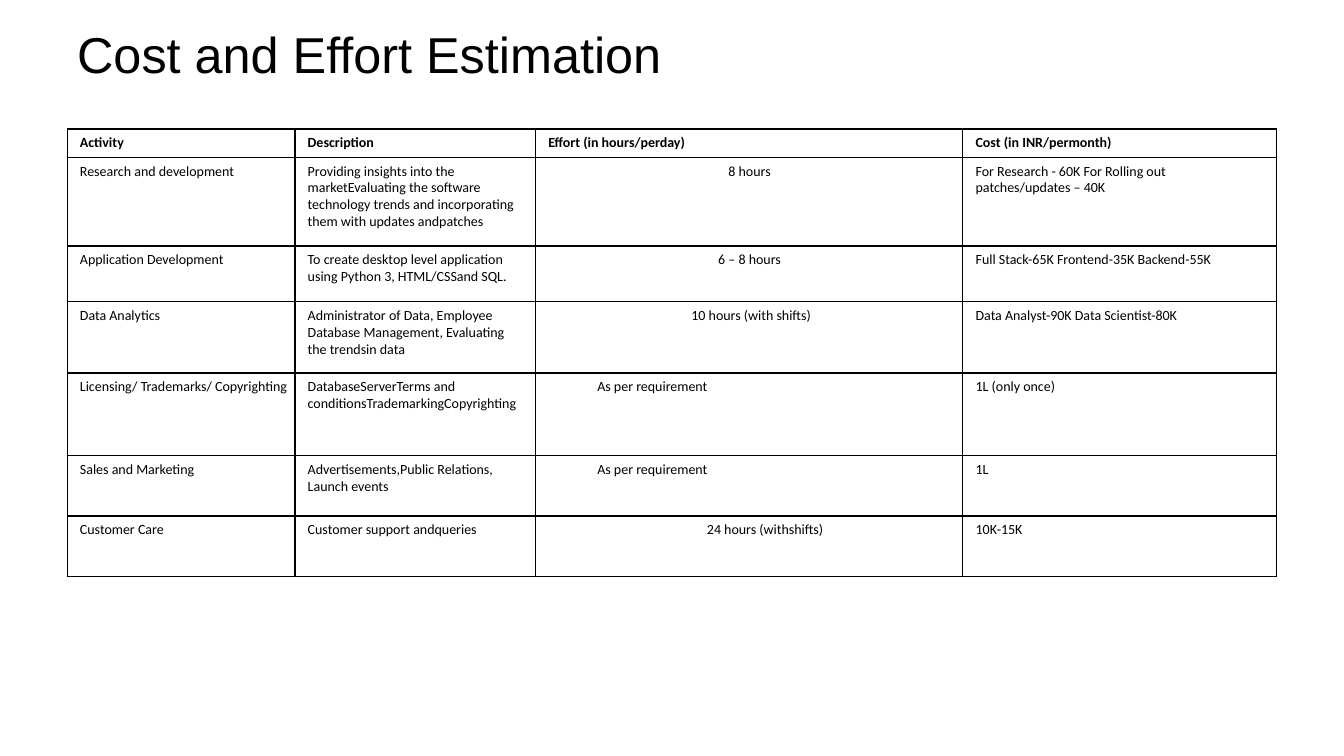
from dataclasses import dataclass

from lxml import etree
from pptx import Presentation
from pptx.dml.color import RGBColor
from pptx.enum.text import MSO_ANCHOR, PP_ALIGN
from pptx.oxml.ns import qn
from pptx.util import Inches, Pt

LEFT, CENTER = PP_ALIGN.LEFT, PP_ALIGN.CENTER
MIDDLE = MSO_ANCHOR.MIDDLE
GRID_COLS, GRID_ROWS = 20, 75


@dataclass(frozen=True)
class Theme:
    ink: str = "000000"
    title_font: str = "Arial"
    body_font: str = "Calibri"
    title_size: int = 36
    body_size: int = 10
    border: int = 1
    pad_left: float = 0.19
    pad_right: float = 0.09
    pad_y: float = 0.55


COL_WIDTHS = [3.39, 3.58, 6.36, 4.67]
ROW_HEIGHTS = [2.8, 8.8, 5.5, 7.1, 8.2, 6, 6]
BODY_PAD_RIGHT = [0.09, 0.2, 0.45, 0.35]
HEADER = ["Activity", "Description", "Effort (in hours/perday)", "Cost (in INR/permonth)"]
ACTIVITIES = [
    ["Research and development",
     "Providing insights into the marketEvaluating the software technology trends "
     "and incorporating them with updates andpatches",
     "8 hours", "For Research - 60K For Rolling out patches/updates – 40K"],
    ["Application Development",
     "To create desktop level application using Python 3, HTML/CSSand SQL.",
     "6 – 8 hours", "Full Stack-65K Frontend-35K Backend-55K"],
    ["Data Analytics",
     "Administrator of Data, Employee Database Management, Evaluating the trendsin data",
     "10 hours (with shifts)", "Data Analyst-90K Data Scientist-80K"],
    ["Licensing/ Trademarks/ Copyrighting",
     "DatabaseServerTerms and conditionsTrademarkingCopyrighting",
     "As per requirement", "1L (only once)"],
    ["Sales and Marketing", "Advertisements,Public Relations, Launch events",
     "As per requirement", "1L"],
    ["Customer Care", "Customer support andqueries", "24 hours (withshifts)", "10K-15K"],
]
EFFORT_COL = 2
EFFORT_STYLE = [(0.46, CENTER), (0.46, CENTER), (2.32, LEFT),
                (0.92, LEFT), (0.92, LEFT), (0.92, CENTER)]


class Deck:
    def __init__(self, theme):
        self.theme = theme
        self.prs = Presentation()
        self.prs.slide_width = Inches(13.33)
        self.prs.slide_height = Inches(7.5)
        self.slide = self.prs.slides.add_slide(self.prs.slide_layouts[6])

    def x(self, cols):
        return round(self.prs.slide_width * cols / GRID_COLS)

    def y(self, rows):
        return round(self.prs.slide_height * rows / GRID_ROWS)

    def style(self, p, font, size, bold=False, align=LEFT):
        p.alignment = align
        p.font.name = font
        p.font.size = Pt(size)
        p.font.bold = bold
        p.font.color.rgb = RGBColor.from_string(self.theme.ink)

    def title(self, text, left, top, width, height):
        sp = self.slide.shapes.add_textbox(
            self.x(left), self.y(top), self.x(width), self.y(height))
        tf = sp.text_frame
        tf.word_wrap = True
        tf.vertical_anchor = MIDDLE
        p = tf.paragraphs[0]
        p.text = text
        self.style(p, self.theme.title_font, self.theme.title_size)

    def table(self, left, top, widths, heights):
        frame = self.slide.shapes.add_table(
            len(heights), len(widths), self.x(left), self.y(top),
            self.x(sum(widths)), self.y(sum(heights)))
        table = frame.table
        table.first_row = table.horz_banding = False
        for column, width in zip(table.columns, widths):
            column.width = self.x(width)
        for row, height in zip(table.rows, heights):
            row.height = self.y(height)
        return table

    def cell(self, cell, text, pad_left, pad_right, bold=False, align=LEFT):
        cell.margin_left, cell.margin_right = self.x(pad_left), self.x(pad_right)
        cell.margin_top = cell.margin_bottom = self.y(self.theme.pad_y)
        p = cell.text_frame.paragraphs[0]
        p.text = text
        self.style(p, self.theme.body_font, self.theme.body_size, bold, align)
        self.borders(cell)
        cell.fill.background()

    def borders(self, cell):
        tc_pr = cell._tc.get_or_add_tcPr()
        for side in ("a:lnL", "a:lnR", "a:lnT", "a:lnB"):
            ln = etree.SubElement(tc_pr, qn(side), w=str(Pt(self.theme.border)))
            fill = etree.SubElement(ln, qn("a:solidFill"))
            etree.SubElement(fill, qn("a:srgbClr"), val=self.theme.ink)


def main():
    theme = Theme()
    deck = Deck(theme)
    deck.title("Cost and Effort Estimation", 1, 2.1, 18, 6.4)
    table = deck.table(1, 12.8, COL_WIDTHS, ROW_HEIGHTS)
    for c, text in enumerate(HEADER):
        deck.cell(table.cell(0, c), text, theme.pad_left, theme.pad_right, bold=True)
    for r, (activity, effort_style) in enumerate(zip(ACTIVITIES, EFFORT_STYLE), 1):
        for c, (text, pad_right) in enumerate(zip(activity, BODY_PAD_RIGHT)):
            pad_left, align = effort_style if c == EFFORT_COL else (theme.pad_left, LEFT)
            deck.cell(table.cell(r, c), text, pad_left, pad_right, align=align)
    deck.prs.save("out.pptx")


if __name__ == "__main__":
    main()
